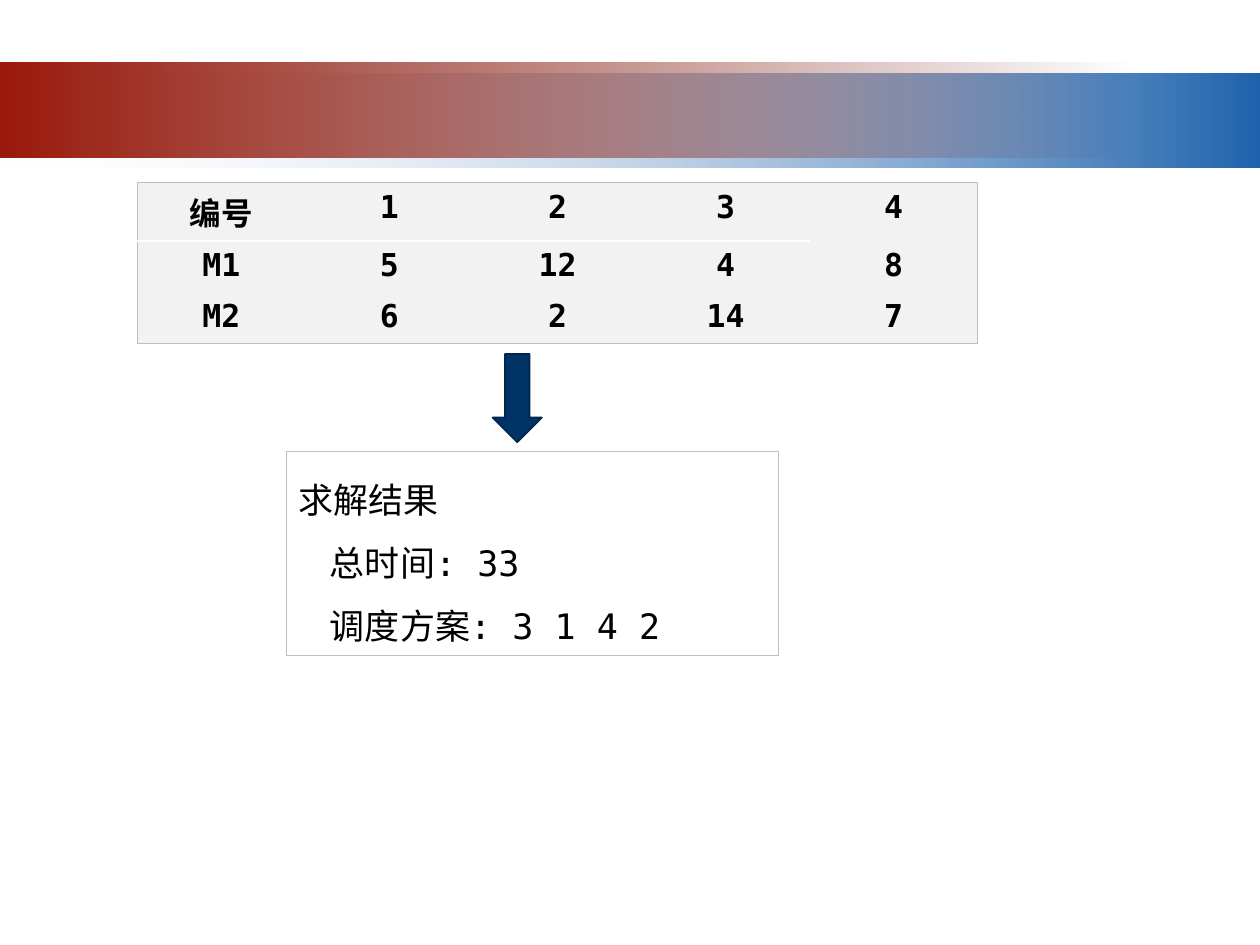
import pptx
import pptx.dml.color
import pptx.enum.shapes
import pptx.enum.text
import pptx.oxml
import pptx.oxml.ns
import pptx.util
from lxml import etree

Inches = pptx.util.Inches
Pt = pptx.util.Pt
qn = pptx.oxml.ns.qn
SHAPES = pptx.enum.shapes.MSO_SHAPE
FONT = "DejaVu Sans Mono"
GREY_EDGE = ("BDBEC3", 0.5)
WHITE_EDGE = ("FFFFFF", 1.5)
JOBS = [
    ["编号", "1", "2", "3", "4"],
    ["M1", "5", "12", "4", "8"],
    ["M2", "6", "2", "14", "7"],
]


def rgb(value):
    """Turn a hex string into a colour."""
    return pptx.dml.color.RGBColor.from_string(value)


def add_run(p, text, size, bold=False):
    """Add a black run to a paragraph."""
    r = p.add_run()
    r.text = text
    r.font.name = FONT
    r.font.size = Pt(size)
    r.font.bold = bold
    r.font.color.rgb = rgb("000000")


def add_shape(s, kind, box, fill=None, line=None):
    """Add a preset shape with an optional solid fill and (colour, width) line."""
    sp = s.shapes.add_shape(kind, *map(Inches, box))
    sp.shadow.inherit = False
    if fill:
        sp.fill.solid()
        sp.fill.fore_color.rgb = rgb(fill)
    else:
        sp.fill.background()
    if line:
        sp.line.color.rgb = rgb(line[0])
        sp.line.width = Pt(line[1])
    else:
        sp.line.fill.background()
    return sp


def add_band(s, box, stops):
    """Add a horizontal gradient band; each stop is (colour, opacity percent)."""
    sp = add_shape(s, SHAPES.RECTANGLE, box)
    sp.fill.gradient()
    sp.fill.gradient_angle = 0
    for stop, (color, _) in zip(sp.fill.gradient_stops, stops):
        stop.color.rgb = rgb(color)
    colors = sp.element.spPr.iter(qn("a:srgbClr"))
    for clr, (_, opacity) in zip(list(colors), stops):
        if opacity < 100:
            etree.SubElement(clr, qn("a:alpha"), val=str(opacity * 1000))


def set_borders(cell, edges):
    """Draw the given cell edges and clear the others."""
    tcPr = cell._tc.get_or_add_tcPr()
    for i, side in enumerate("LRTB"):
        ln = etree.Element(qn("a:ln" + side))
        if side in edges:
            color, width = edges[side]
            ln.set("w", str(Pt(width)))
            fill = etree.SubElement(ln, qn("a:solidFill"))
            etree.SubElement(fill, qn("a:srgbClr"), val=color)
        else:
            etree.SubElement(ln, qn("a:noFill"))
        tcPr.insert(i, ln)


def cell_edges(row, col, rows, cols):
    """Give the outer frame and the white rule below the header."""
    edges = {}
    if col == 0:
        edges["L"] = GREY_EDGE
    if col == cols - 1:
        edges["R"] = GREY_EDGE
    if row == 0:
        edges["T"] = GREY_EDGE
    if row == rows - 1:
        edges["B"] = GREY_EDGE
    if col < cols - 1 and row < 2:
        edges["T" if row else "B"] = WHITE_EDGE
    return edges


def add_job_table(s, box, data):
    """Add the table of processing times."""
    rows, cols = len(data), len(data[0])
    table = s.shapes.add_table(rows, cols, *map(Inches, box)).table
    for i, values in enumerate(data):
        for j, text in enumerate(values):
            cell = table.cell(i, j)
            cell.fill.solid()
            cell.fill.fore_color.rgb = rgb("F2F2F2")
            p = cell.text_frame.paragraphs[0]
            p.alignment = pptx.enum.text.PP_ALIGN.CENTER
            add_run(p, text, 18, True)
            set_borders(cell, cell_edges(i, j, rows, cols))


def add_result(s, box, lines):
    """Add the framed result; each line is (text, indent in inches)."""
    sp = s.shapes.add_textbox(*map(Inches, box))
    sp.line.color.rgb = rgb("BFBFBF")
    sp.line.width = Pt(0.5)
    tf = sp.text_frame
    tf.word_wrap = True
    tf.auto_size = pptx.enum.text.MSO_AUTO_SIZE.SHAPE_TO_FIT_TEXT
    for i, (text, indent) in enumerate(lines):
        p = tf.add_paragraph() if i else tf.paragraphs[0]
        p.line_spacing = 1.5
        if indent:
            pPr = p._p.get_or_add_pPr()
            pPr.set("marL", str(Inches(indent)))
            pPr.set("indent", "0")
        add_run(p, text, 20)


def main():
    """Build the slide and save it."""
    prs = pptx.Presentation()
    prs.slide_width, prs.slide_height = Inches(10), Inches(7.5)
    s = prs.slides.add_slide(prs.slide_layouts[6])
    add_band(s, (0, 0.58, 10, 0.75), [("F1F2F7", 0), ("1F63AD", 100)])
    add_band(s, (0, 0.5, 9, 0.75), [("99190B", 100), ("6D1208", 0)])
    add_job_table(s, (1.09, 1.45, 6.67, 1.22), JOBS)
    add_result(s, (2.27, 3.58, 3.91, 1.62),
               [("求解结果", 0), ("总时间: 33", 0.25), ("调度方案: 3 1 4 2", 0.25)])
    add_shape(s, SHAPES.DOWN_ARROW, (3.91, 2.81, 0.39, 0.7), "003366", ("00264B", 1))
    prs.save("out.pptx")


main()
